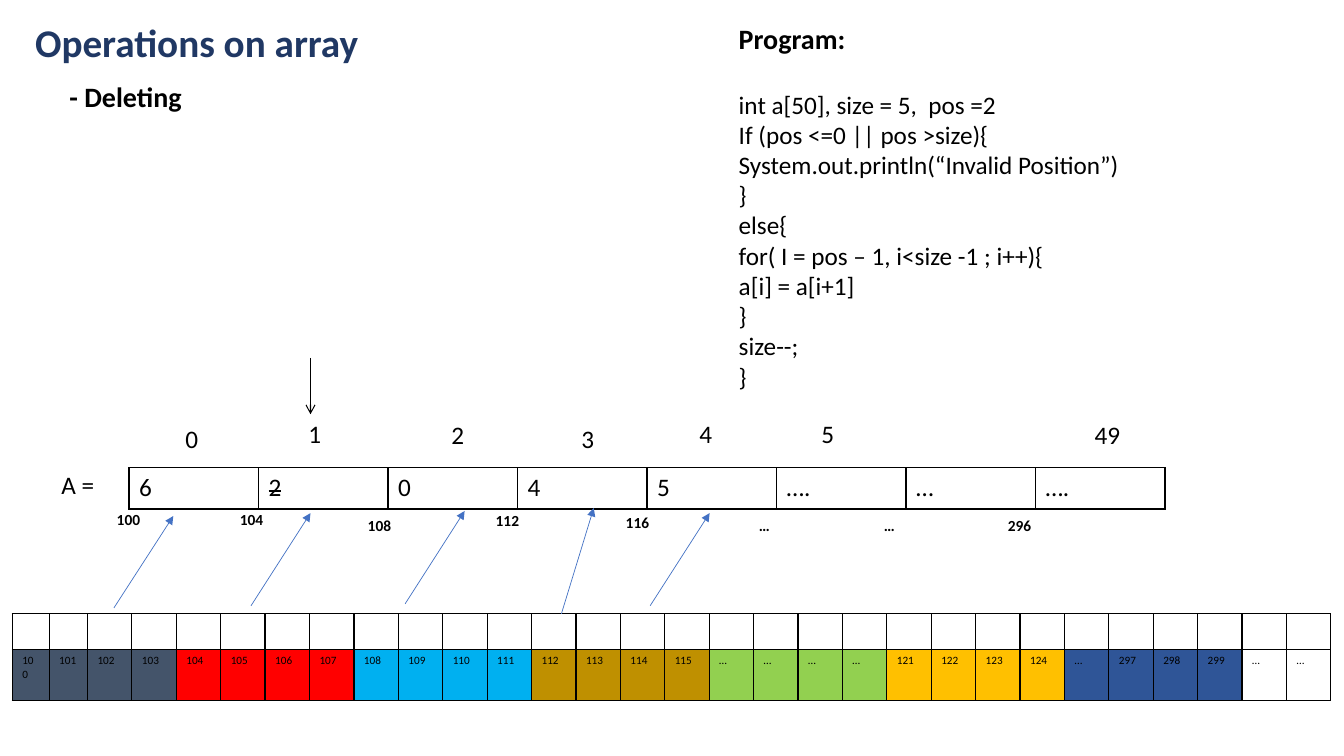
from lxml import etree
from pptx import Presentation
from pptx.dml.color import RGBColor
from pptx.enum import shapes, text
from pptx.oxml import ns
from pptx.util import Pt

COLORS = {
    "black": "000000", "title": "203864", "arrow": "4472C4",
    "slate": "44546A", "red": "FF0000", "cyan": "00B0F0", "gold": "BF9000",
    "green": "92D050", "amber": "FFC000", "navy": "2F5597",
}


class SlideBuilder:
    font = "Calibri"

    def __init__(self, prs):
        self.slide = prs.slides.add_slide(prs.slide_layouts[6])

    def color(self, name):
        return RGBColor.from_string(COLORS[name])

    def style(self, p, size, bold=False, color="black"):
        for r in p.runs:
            r.font.name = self.font
            r.font.size = Pt(size)
            r.font.bold = bold
            r.font.color.rgb = self.color(color)

    def text(self, x, y, w, h, content, size, bold=False, color="black", wrap=False):
        sp = self.slide.shapes.add_textbox(Pt(x), Pt(y), Pt(w), Pt(h))
        tf = sp.text_frame
        tf.word_wrap = wrap
        tf.text = content
        for p in tf.paragraphs:
            self.style(p, size, bold, color)
        return tf

    def arrow(self, x1, y1, x2, y2, color, width, head):
        line = self.slide.shapes.add_connector(
            shapes.MSO_CONNECTOR.STRAIGHT, Pt(x1), Pt(y1), Pt(x2), Pt(y2))
        line.line.color.rgb = self.color(color)
        line.line.width = Pt(width)
        etree.SubElement(line.line._get_or_add_ln(), ns.qn("a:tailEnd"), type=head)
        etree.SubElement(line._element.spPr, ns.qn("a:effectLst"))

    def border(self, cell):
        tcPr = cell._tc.get_or_add_tcPr()
        for side in ("a:lnL", "a:lnR", "a:lnT", "a:lnB"):
            ln = etree.SubElement(tcPr, ns.qn(side), w=str(Pt(1)))
            fill = etree.SubElement(ln, ns.qn("a:solidFill"))
            etree.SubElement(fill, ns.qn("a:srgbClr"), val=COLORS["black"])

    def table(self, x, y, widths, heights, rows, size):
        """Each cell is a (text, fill name or None) pair."""
        frame = self.slide.shapes.add_table(
            len(heights), len(widths), Pt(x), Pt(y), Pt(sum(widths)), Pt(sum(heights)))
        table = frame.table
        table.first_row = table.horz_banding = False
        for column, width in zip(table.columns, widths):
            column.width = Pt(width)
        for row, height, values in zip(table.rows, heights, rows):
            row.height = Pt(height)
            for cell, (value, fill) in zip(row.cells, values):
                self.border(cell)
                if fill:
                    cell.fill.solid()
                    cell.fill.fore_color.rgb = self.color(fill)
                else:
                    cell.fill.background()
                cell.text_frame.text = value
                p = cell.text_frame.paragraphs[0]
                if value:
                    self.style(p, size)
                else:
                    etree.SubElement(p._p, ns.qn("a:endParaRPr"), sz=str(size * 100))
        return table


def main():
    prs = Presentation()
    prs.slide_width, prs.slide_height = Pt(960), Pt(540)
    s = SlideBuilder(prs)

    # Heading
    tf = s.text(18, 9.4, 277, 44.6, "Operations on array", 28, True, "title", wrap=True)
    tf.vertical_anchor = text.MSO_ANCHOR.MIDDLE
    tf.paragraphs[0].line_spacing = 0.9
    s.text(42.5, 53.3, 95.8, 31.5, "- Deleting", 20, True)

    # Program listing
    code = [
        "Program:",
        "int a[50], size = 5,  pos =2",
        "If (pos <=0 || pos >size){",
        "System.out.println(“Invalid Position”)",
        "}",
        "else{",
        "for( I = pos – 1, i<size -1 ; i++){",
        "a[i] = a[i+1]",
        "}",
        "size--;",
        "}",
    ]
    tf = s.text(520.6, 11.5, 384.5, 273.6, "\n".join(code), 18, wrap=True)
    s.style(tf.paragraphs[0], 20, True)
    tf.paragraphs[1].space_before = Pt(24.4)

    # Memory strip, four bytes per element
    groups = [
        ("slate", "100 101 102 103"), ("red", "104 105 106 107"),
        ("cyan", "108 109 110 111"), ("gold", "112 113 114 115"),
        ("green", "… … … …"), ("amber", "121 122 123 124"),
        ("navy", "… 297 298 299"), (None, "… …"),
    ]
    memory = [(label, fill) for fill, labels in groups for label in labels.split()]
    widths = [26.4, 27.4] + [31.74] * (len(memory) - 2)
    s.table(8.7, 438.5, widths, [25.2, 36.7], [[("", None)] * len(memory), memory], 8)

    # Array cells
    values = ["6", "2", "0", "4", "5", "….", "…", "…."]
    array = s.table(92.2, 334.1, [92.5] * len(values), [29.5],
                    [[(value, None) for value in values]], 18)
    deleted = array.cell(0, 1).text_frame.paragraphs[0].runs[0]
    deleted.font._element.set("strike", "sngStrike")
    s.text(36.7, 331.9, 38.2, 28.8, "A =", 18, wrap=True)

    # Index labels
    for label, x, y in [("0", 125.3, 298.8), ("1", 213.1, 295.2), ("2", 315.4, 295.9),
                        ("3", 408.2, 298.8), ("4", 492.5, 295.2), ("5", 579.6, 295.2),
                        ("49", 774.7, 295.9)]:
        s.text(x, y, 14.4 + 9.2 * len(label), 28.8, label, 18)

    # Address labels
    for label, x, y in [("100", 76.3, 360.7), ("104", 164.2, 360.7), ("108", 255.6, 365),
                        ("112", 347, 361.4), ("116", 439.9, 362.9), ("…", 535, 365),
                        ("…", 624.2, 365), ("296", 712.8, 365)]:
        s.text(x, y, 22.3 if label == "…" else 31.7, 20.9, label, 11, True)

    # Arrows from memory to the array, and the deletion pointer
    for x1, y1, x2, y2 in [(81.4, 434.2, 123.8, 368.6), (179.3, 432.7, 221.8, 366.5),
                           (289.4, 431.3, 331.9, 365), (401, 438.5, 424.1, 362.9),
                           (464.4, 432.7, 506.9, 366.5)]:
        s.arrow(x1, y1, x2, y2, "arrow", 0.5, "triangle")
    s.arrow(221.8, 255.6, 221.8, 295.9, "black", 0.75, "arrow")

    prs.save("out.pptx")


if __name__ == "__main__":
    main()
